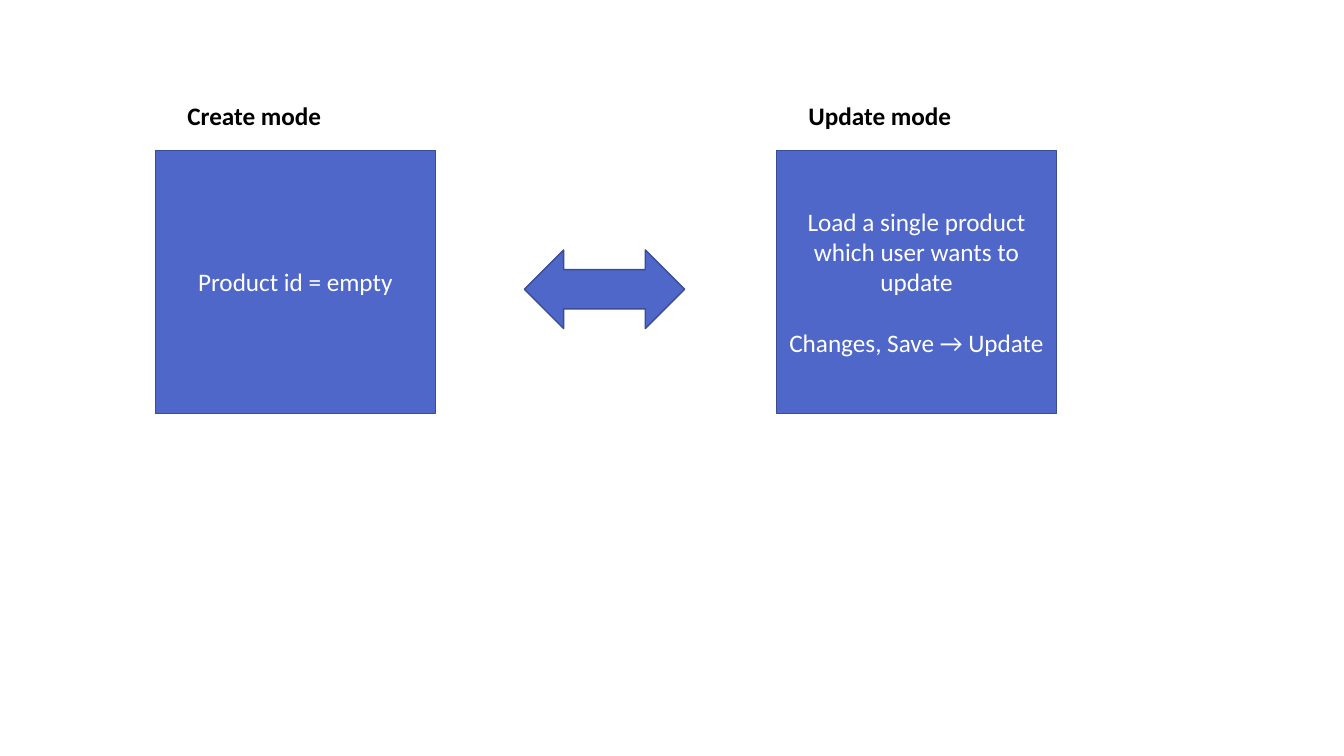
from dataclasses import dataclass

from pptx import Presentation
from pptx.dml.color import RGBColor
from pptx.enum.shapes import MSO_SHAPE
from pptx.enum.text import MSO_ANCHOR, PP_ALIGN
from pptx.util import Inches, Pt

RECTANGLE = MSO_SHAPE.RECTANGLE
DOUBLE_ARROW = MSO_SHAPE.LEFT_RIGHT_ARROW
MIDDLE = MSO_ANCHOR.MIDDLE
LEFT, CENTER = PP_ALIGN.LEFT, PP_ALIGN.CENTER


@dataclass(frozen=True)
class Theme:
    fill: RGBColor = RGBColor(0x4E, 0x67, 0xC8)
    line: RGBColor = RGBColor(0x3A, 0x4C, 0x94)
    light: RGBColor = RGBColor(0xFF, 0xFF, 0xFF)
    dark: RGBColor = RGBColor(0, 0, 0)
    font: str = "Calibri"
    text_size: Pt = Pt(18)
    line_width: Pt = Pt(1)
    paragraph_gap: Pt = Pt(22)


THEME = Theme()
PANEL_TOP, PANEL_WIDTH, PANEL_HEIGHT = 1.49, 2.78, 2.61
PANEL_LEFTS = (1.54, 7.7)
TITLE_INDENT, TITLE_RISE, TITLE_HEIGHT = 0.22, 0.54, 0.4
ARROW_BOX = (5.2, 2.48, 1.59, 0.78)
MODES = (
    ("Create mode", ["Product id = empty"]),
    ("Update mode", ["Load a single product which user wants to update",
                     "Changes, Save → Update"]),
)


def write_paragraphs(frame, texts, alignment, color, bold=False):
    frame.word_wrap = True
    formats = {"name": THEME.font, "size": THEME.text_size, "bold": bold}
    for index, text in enumerate(texts):
        paragraph = frame.add_paragraph() if index else frame.paragraphs[0]
        paragraph.alignment = alignment
        if index:
            paragraph.space_before = THEME.paragraph_gap
        run = paragraph.add_run()
        run.text = text
        for name, value in formats.items():
            setattr(run.font, name, value)
        run.font.color.rgb = color


def add_filled_shape(slide, kind, box):
    shape = slide.shapes.add_shape(kind, *map(Inches, box))
    shape.shadow.inherit = False
    shape.fill.solid()
    shape.fill.fore_color.rgb = THEME.fill
    shape.line.color.rgb = THEME.line
    shape.line.width = THEME.line_width
    return shape


def add_mode(slide, box, title, texts):
    """Place a panel in the box, with its title above."""
    left, top, width, _ = box
    panel = add_filled_shape(slide, RECTANGLE, box)
    panel.text_frame.vertical_anchor = MIDDLE
    write_paragraphs(panel.text_frame, texts, CENTER, THEME.light)
    title_box = (left + TITLE_INDENT, top - TITLE_RISE,
                 width - 2 * TITLE_INDENT, TITLE_HEIGHT)
    heading = slide.shapes.add_textbox(*map(Inches, title_box))
    write_paragraphs(heading.text_frame, [title], LEFT, THEME.dark, bold=True)


def main():
    presentation = Presentation()
    presentation.slide_width = Inches(13.33)
    presentation.slide_height = Inches(7.5)
    slide = presentation.slides.add_slide(presentation.slide_layouts[6])
    for left, (title, texts) in zip(PANEL_LEFTS, MODES):
        box = (left, PANEL_TOP, PANEL_WIDTH, PANEL_HEIGHT)
        add_mode(slide, box, title, texts)
    add_filled_shape(slide, DOUBLE_ARROW, ARROW_BOX)
    presentation.save("out.pptx")


if __name__ == "__main__":
    main()
